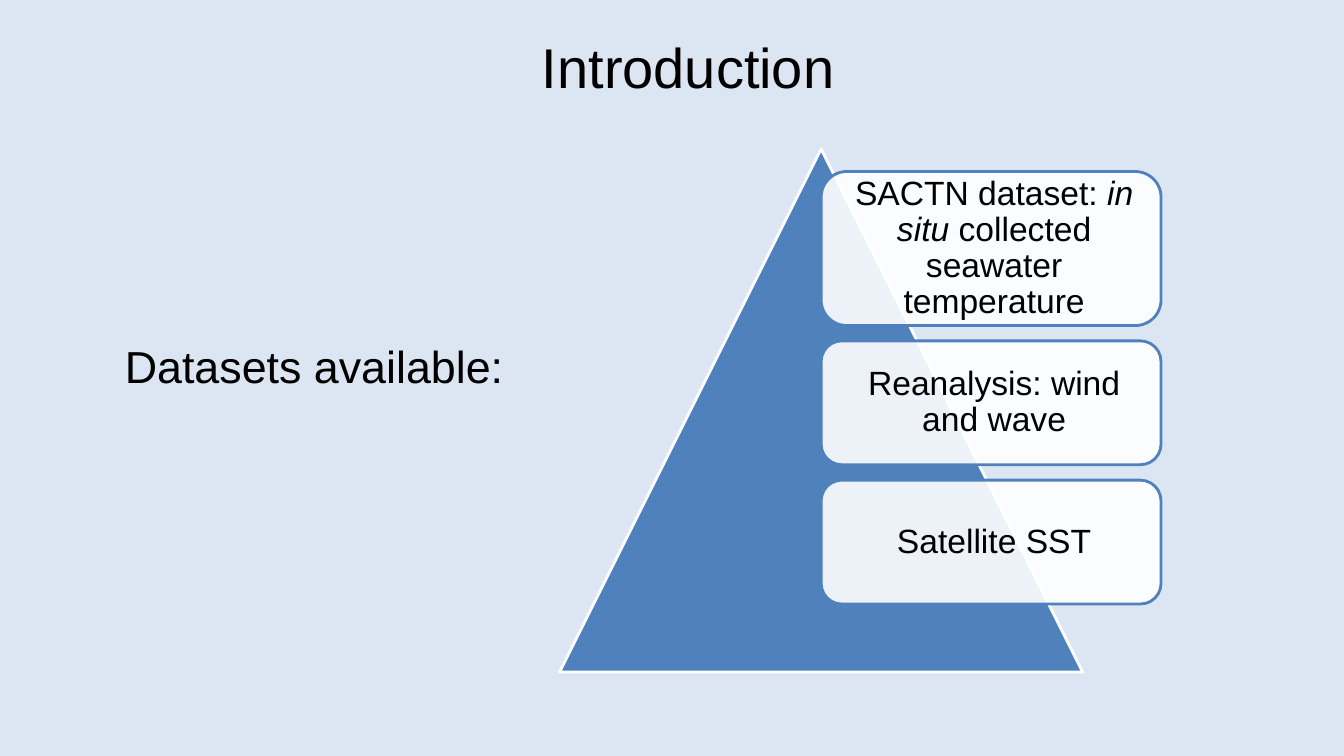
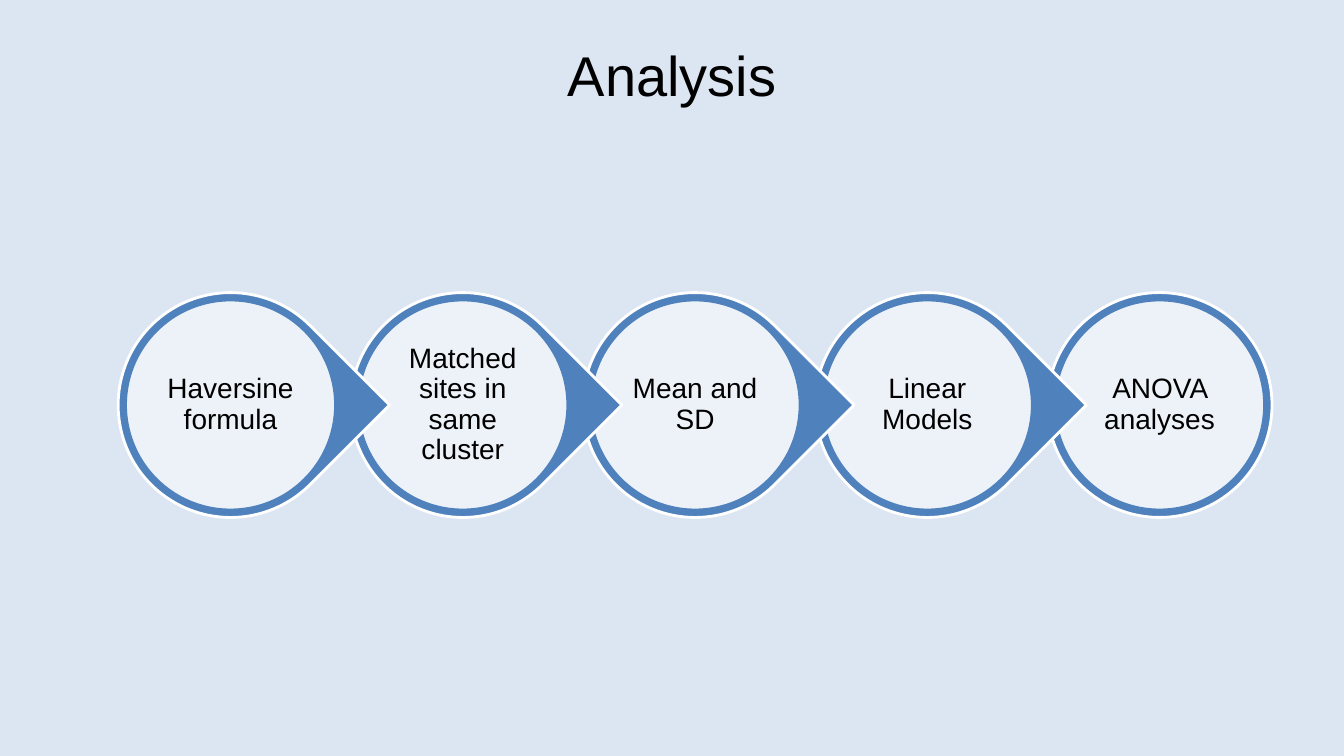
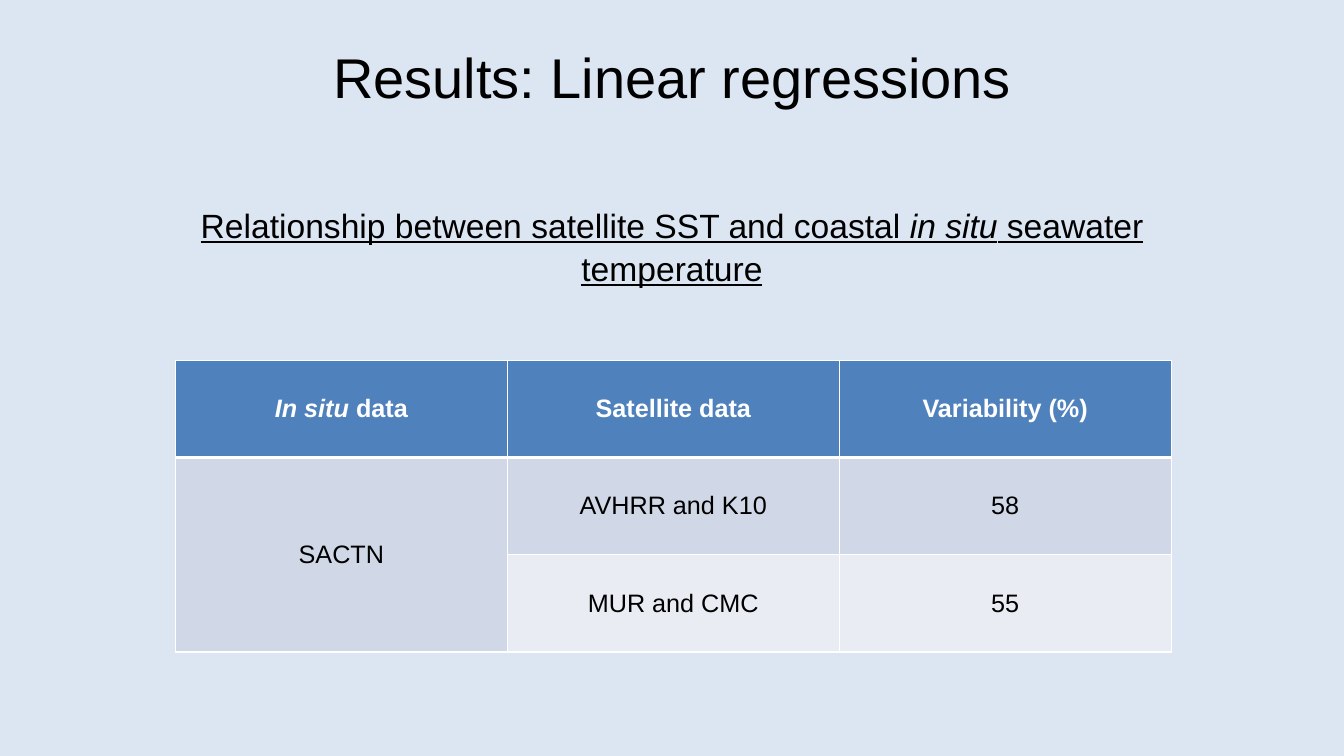
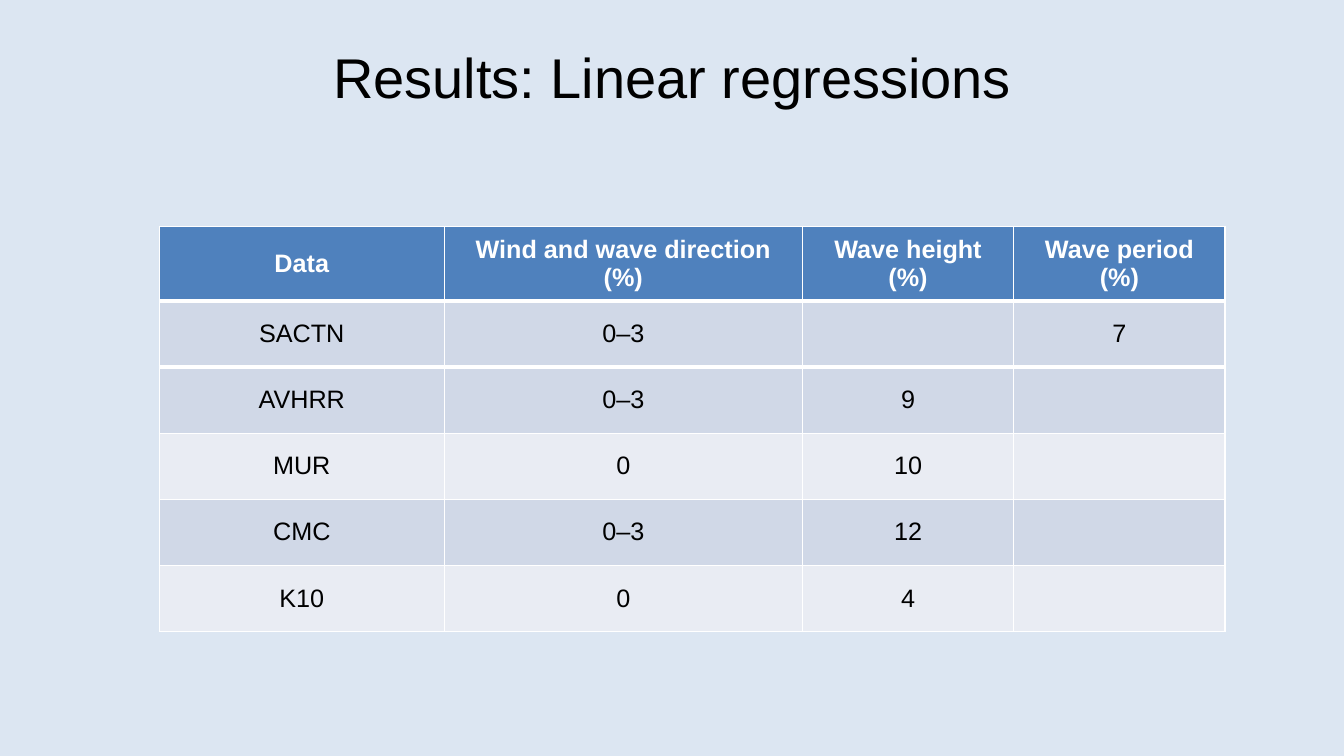
from dataclasses import dataclass

from lxml import etree
from pptx import Presentation
from pptx.dml.color import RGBColor
from pptx.enum.shapes import MSO_SHAPE
from pptx.enum.text import MSO_ANCHOR, MSO_AUTO_SIZE, PP_ALIGN
from pptx.oxml.ns import qn
from pptx.util import Pt

TRIANGLE = MSO_SHAPE.ISOSCELES_TRIANGLE
ROUNDED = MSO_SHAPE.ROUNDED_RECTANGLE
OVAL = MSO_SHAPE.OVAL
TEAR = MSO_SHAPE.TEAR
TOP, MIDDLE = MSO_ANCHOR.TOP, MSO_ANCHOR.MIDDLE
CENTER = PP_ALIGN.CENTER
NO_AUTO_SIZE = MSO_AUTO_SIZE.NONE
TITLE_ONLY = 5


@dataclass(frozen=True)
class Theme:
    background: str = "DCE6F2"
    accent: str = "4F81BD"
    light: str = "FFFFFF"
    text: str = "000000"
    bands: tuple = ("D0D8E7", "E9ECF3")
    font: str = "Arial"
    title_size: int = 40
    lead_size: int = 32
    body_size: int = 24
    step_size: int = 20
    table_size: int = 18
    outline: int = 2
    thin_border: float = 0.96
    thick_border: int = 3
    panel_opacity: int = 90
    box_insets: tuple = (7.2, 3.6, 7.2, 3.6)


THEME = Theme()


def rgb(value):
    return RGBColor.from_string(value)


def set_all(target, values):
    for name, value in values.items():
        setattr(target, name, value)


def points(box):
    return [Pt(length) for length in box]


def write(frame, text, size, color=THEME.text, font=None, paragraph_format=None):
    """Fill the first paragraph; parts between asterisks become italic."""
    paragraph = frame.paragraphs[0]
    set_all(paragraph, {"alignment": CENTER, **(paragraph_format or {})})
    for index, part in enumerate(text.split("*")):
        if part:
            run = paragraph.add_run()
            run.text = part
            set_all(run.font, {"name": THEME.font, "size": Pt(size),
                               "italic": index % 2 == 1, **(font or {})})
            run.font.color.rgb = rgb(color)


def format_frame(frame, anchor, insets):
    left, top, right, bottom = points(insets)
    set_all(frame, {
        "word_wrap": True, "auto_size": NO_AUTO_SIZE, "vertical_anchor": anchor,
        "margin_left": left, "margin_top": top,
        "margin_right": right, "margin_bottom": bottom,
    })


def add_text(slide, box, text, size, **formats):
    frame = slide.shapes.add_textbox(*points(box)).text_frame
    format_frame(frame, TOP, THEME.box_insets)
    write(frame, text, size, **formats)


def add_titled_slide(presentation, title, box):
    slide = presentation.slides.add_slide(presentation.slide_layouts[TITLE_ONLY])
    left, top, width, height = points(box)
    shape = slide.shapes.title
    set_all(shape, {"left": left, "top": top, "width": width, "height": height})
    format_frame(shape.text_frame, TOP, THEME.box_insets)
    write(shape.text_frame, title, THEME.title_size)
    return slide


def add_shape(slide, kind, box, fill, line):
    shape = slide.shapes.add_shape(kind, *points(box))
    shape.shadow.inherit = False
    shape.fill.solid()
    shape.fill.fore_color.rgb = rgb(fill)
    shape.line.color.rgb = rgb(line)
    shape.line.width = Pt(THEME.outline)
    return shape


def add_panel(slide, kind, box, text, size, insets, space_after):
    """Add a slightly see-through white shape that holds text."""
    shape = add_shape(slide, kind, box, THEME.light, THEME.accent)
    color = shape.element.spPr.find(qn("a:solidFill")).find(qn("a:srgbClr"))
    etree.SubElement(color, qn("a:alpha"), val=str(THEME.panel_opacity * 1000))
    format_frame(shape.text_frame, MIDDLE, insets)
    write(shape.text_frame, text, size, paragraph_format={
        "line_spacing": 0.9, "space_after": Pt(space_after)})


def add_pyramid(slide, box, cards):
    """Add a triangle with a column of (text, height) cards from its axis."""
    left, top, width, height = box
    add_shape(slide, TRIANGLE, box, THEME.accent, THEME.light)
    card_width, gap = width * 0.65, 11
    card_top = top + 16
    for text, card_height in cards:
        add_panel(slide, ROUNDED,
                  (left + width / 2, card_top, card_width, card_height),
                  text, THEME.body_size, (10.8, 10.8, 6.5, 10.8), 7.7)
        card_top += card_height + gap


def add_process(slide, box, steps):
    """Add a row of discs, each pointing at the next one."""
    left, top, width, size = box
    pitch = (width - size) / (len(steps) - 1)
    rim = 5.3
    last = len(steps) - 1
    for index in range(last, -1, -1):
        step_left = left + index * pitch
        drop = add_shape(slide, OVAL if index == last else TEAR,
                         (step_left, top, size, size), THEME.accent, THEME.light)
        drop.rotation = 0 if index == last else 45
        disc = size - 2 * rim
        add_panel(slide, OVAL, (step_left + rim, top + rim, disc, disc),
                  steps[index], THEME.step_size, (2.2,) * 4, 7)


def set_borders(cell, top, bottom):
    properties = cell._tc.get_or_add_tcPr()
    widths = {"a:lnL": THEME.thin_border, "a:lnR": THEME.thin_border,
              "a:lnT": top, "a:lnB": bottom}
    for position, (tag, width) in enumerate(widths.items()):
        line = etree.Element(qn(tag), w=str(Pt(width)))
        fill = etree.SubElement(line, qn("a:solidFill"))
        etree.SubElement(fill, qn("a:srgbClr"), val=THEME.light)
        properties.insert(position, line)


def add_data_table(slide, position, widths, heights, rows, ruled_rows=1):
    """Add a banded table; the first ruled_rows rows end in a thick border."""
    box = (*position, sum(widths), sum(heights))
    table = slide.shapes.add_table(len(rows), len(widths), *points(box)).table
    set_all(table, {"first_row": False, "horz_banding": False})
    for column, width in zip(table.columns, widths):
        column.width = Pt(width)
    for row, height in zip(table.rows, heights):
        row.height = Pt(height)
    for row_index, texts in enumerate(rows):
        header = row_index == 0
        band = THEME.bands[max(row_index - ruled_rows, 0) % 2]
        top = THEME.thick_border if 0 < row_index <= ruled_rows else THEME.thin_border
        bottom = THEME.thick_border if row_index < ruled_rows else THEME.thin_border
        for column_index, text in enumerate(texts):
            cell = table.cell(row_index, column_index)
            cell.vertical_anchor = MIDDLE
            cell.fill.solid()
            cell.fill.fore_color.rgb = rgb(THEME.accent if header else band)
            set_borders(cell, top, bottom)
            write(cell.text_frame, text, THEME.table_size,
                  THEME.light if header else THEME.text, {"bold": header})
    return table


def build_introduction(presentation):
    slide = add_titled_slide(presentation, "Introduction", (347, 19.5, 289, 55))
    add_pyramid(slide, (399.8, 106.5, 373.5, 373.5), [
        ("SACTN dataset: *in situ* collected seawater temperature", 110),
        ("Reanalysis: wind and wave", 88.5),
        ("Satellite SST", 88.5),
    ])
    add_text(slide, (80, 238.5, 289, 55), "Datasets available:", THEME.lead_size)


def build_analysis(presentation):
    slide = add_titled_slide(presentation, "Analysis", (335.5, 25.2, 289, 55))
    add_process(slide, (84.4, 209, 824.2, 160.6), [
        "Haversine formula", "Matched sites in same cluster", "Mean and SD",
        "Linear Models", "ANOVA analyses",
    ])


def add_results_slide(presentation):
    return add_titled_slide(presentation, "Results: Linear regressions",
                            (195.5, 26.6, 569, 55))


def build_satellite_results(presentation):
    slide = add_results_slide(presentation)
    add_text(slide, (72, 141, 816, 89),
             "Relationship between satellite SST and coastal *in situ* "
             "seawater temperature", THEME.body_size,
             font={"underline": True}, paragraph_format={"line_spacing": 1.06})
    table = add_data_table(slide, (125.3, 257.3), [237.1] * 3, [69.5] * 3, [
        ("*In situ* data", "Satellite data", "Variability (%)"),
        ("SACTN", "AVHRR and K10", "58"),
        ("", "MUR and CMC", "55"),
    ])
    table.cell(1, 0).merge(table.cell(2, 0))


def build_wave_results(presentation):
    slide = add_results_slide(presentation)
    add_data_table(slide, (113.8, 161.8), [203.5, 255.8, 151, 151],
                   [53.2] + [47.2] * 5, [
        ("Data", "Wind and wave direction (%)", "Wave height (%)", "Wave period (%)"),
        ("SACTN", "0–3", "", "7"),
        ("AVHRR", "0–3", "9", ""),
        ("MUR", "0", "10", ""),
        ("CMC", "0–3", "12", ""),
        ("K10", "0", "4", ""),
    ], ruled_rows=2)


def main():
    presentation = Presentation()
    set_all(presentation, {"slide_width": Pt(960), "slide_height": Pt(540)})
    background = presentation.slide_master.background.fill
    background.solid()
    background.fore_color.rgb = rgb(THEME.background)
    for build in (build_introduction, build_analysis,
                  build_satellite_results, build_wave_results):
        build(presentation)
    presentation.save("out.pptx")


if __name__ == "__main__":
    main()
